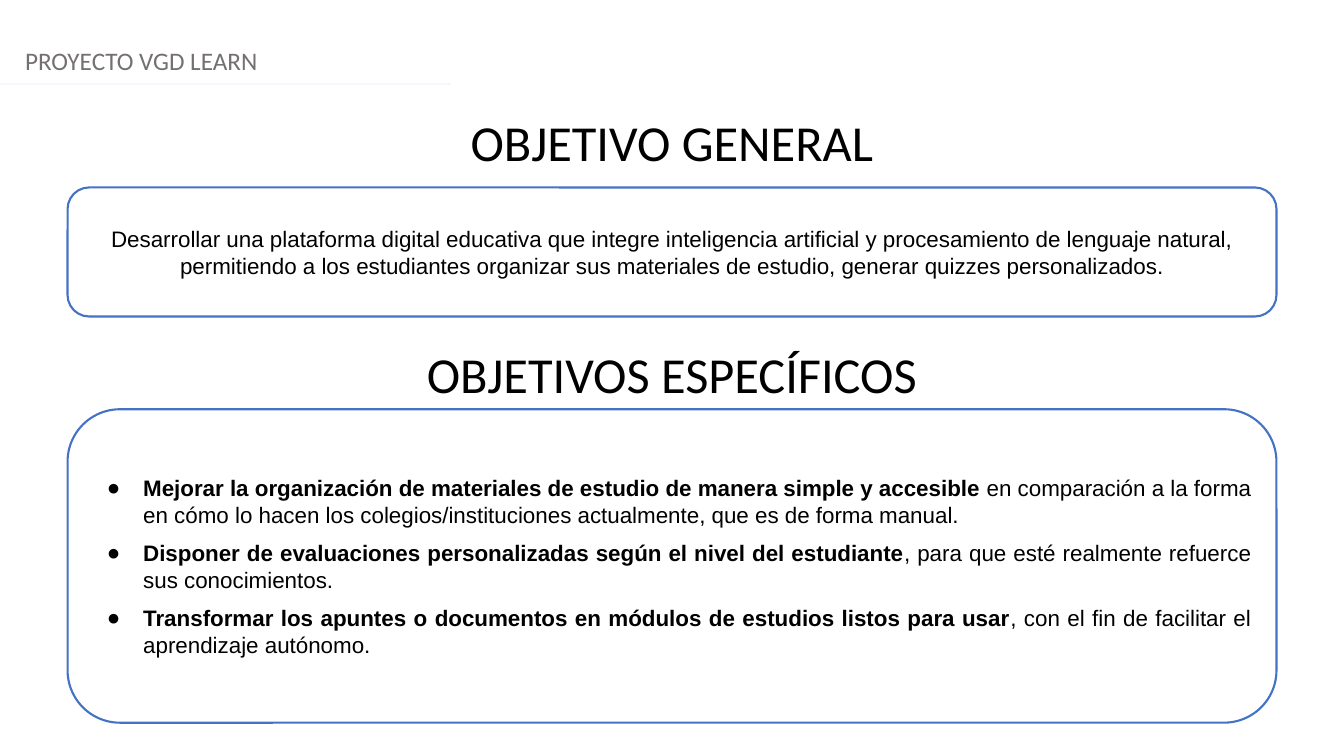
from lxml.etree import SubElement
from pptx import Presentation
from pptx.dml.color import RGBColor
from pptx.enum.shapes import MSO_CONNECTOR, MSO_SHAPE
from pptx.enum.text import MSO_ANCHOR, MSO_AUTO_SIZE, PP_ALIGN
from pptx.oxml.ns import qn
from pptx.util import Inches, Pt

# Content
PROJECT = "PROYECTO VGD LEARN"
GENERAL_TITLE = "OBJETIVO GENERAL"
SPECIFIC_TITLE = "OBJETIVOS ESPECÍFICOS"
GENERAL_GOAL = (
    "Desarrollar una plataforma digital educativa que integre inteligencia artificial "
    "y procesamiento de lenguaje natural, permitiendo a los estudiantes organizar sus "
    "materiales de estudio, generar quizzes personalizados."
)
SPECIFIC_GOALS = [
    ("Mejorar la organización de materiales de estudio de manera simple y accesible",
     " en comparación a la forma en cómo lo hacen los colegios/instituciones actualmente, "
     "que es de forma manual."),
    ("Disponer de evaluaciones personalizadas según el nivel del estudiante",
     ", para que esté realmente refuerce sus conocimientos."),
    ("Transformar los apuntes o documentos en módulos de estudios listos para usar",
     ", con el fin de facilitar el aprendizaje autónomo."),
]

# Colours and measures in inches
BLACK = RGBColor(0x00, 0x00, 0x00)
WHITE = RGBColor(0xFF, 0xFF, 0xFF)
GRAY = RGBColor(0x75, 0x70, 0x70)
BLUE = RGBColor(0x44, 0x72, 0xC4)
PALE = RGBColor(0xF5, 0xF7, 0xFC)
WIDTH, HEIGHT = 13.33, 7.5
PANEL_LEFT, PANEL_WIDTH = 0.67, 11.99
LIST_TOP, LIST_HEIGHT = 4.06, 3.11
CORNER = 0.167
CORNER_INSET = round(0.29 * CORNER * LIST_HEIGHT, 2)


def place(shape, left, top, width, height):
    shape.left, shape.top = Inches(left), Inches(top)
    shape.width, shape.height = Inches(width), Inches(height)


def add_run(paragraph, text, size=16, font="Arial", color=BLACK, bold=False):
    run = paragraph.add_run()
    run.text = text
    run.font.size, run.font.name, run.font.bold = Pt(size), font, bold
    run.font.color.rgb = color


def write(shape, text, align=PP_ALIGN.CENTER, anchor=MSO_ANCHOR.TOP, **font):
    frame = shape.text_frame
    frame.word_wrap = True
    frame.auto_size = MSO_AUTO_SIZE.NONE
    frame.vertical_anchor = anchor
    frame.paragraphs[0].alignment = align
    add_run(frame.paragraphs[0], text, **font)


def add_panel(top, height):
    panel = slide.shapes.add_shape(
        MSO_SHAPE.ROUNDED_RECTANGLE, Inches(PANEL_LEFT), Inches(top),
        Inches(PANEL_WIDTH), Inches(height))
    panel.adjustments[0] = CORNER
    panel.shadow.inherit = False
    panel.fill.solid()
    panel.fill.fore_color.rgb = WHITE
    panel.line.color.rgb = BLUE
    panel.line.width = Pt(1.5)
    return panel


def set_bullet(paragraph):
    properties = paragraph._p.get_or_add_pPr()
    properties.set("marL", str(Inches(0.5)))
    properties.set("indent", str(Inches(-0.36)))
    color = SubElement(properties, qn("a:buClr"))
    SubElement(color, qn("a:srgbClr"), val=str(BLACK))
    SubElement(properties, qn("a:buFont"), typeface="Arial")
    SubElement(properties, qn("a:buChar"), char="●")


presentation = Presentation()
presentation.slide_width, presentation.slide_height = Inches(WIDTH), Inches(HEIGHT)
slide = presentation.slides.add_slide(presentation.slide_layouts[1])

# Project name and rule
project = slide.shapes.add_textbox(
    Inches(0.15), Inches(0.4), Inches(WIDTH), Inches(0.4))
write(project, PROJECT, align=PP_ALIGN.LEFT, size=18, font="Calibri", color=GRAY)
rule = slide.shapes.add_connector(
    MSO_CONNECTOR.STRAIGHT, Inches(0), Inches(0.83), Inches(4.47), Inches(0.83))
rule.line.color.rgb = PALE
rule.line.width = Pt(1.25)
SubElement(rule._element.spPr, qn("a:effectLst"))

# Section titles
general_title = slide.shapes.title
place(general_title, 0, 1.05, WIDTH, 0.71)
specific_title = slide.shapes.add_textbox(
    Inches(0), Inches(3.35), Inches(WIDTH), Inches(0.71))
for title, text in ((general_title, GENERAL_TITLE), (specific_title, SPECIFIC_TITLE)):
    write(title, text, size=36, font="Calibri")

# General goal
write(add_panel(1.86, 1.28), GENERAL_GOAL, anchor=MSO_ANCHOR.MIDDLE)

# Specific goals: the list lies in front of its panel
list_panel = add_panel(LIST_TOP, LIST_HEIGHT)
goals = slide.placeholders[1]
place(goals, PANEL_LEFT + CORNER_INSET, LIST_TOP + CORNER_INSET,
      PANEL_WIDTH - 2 * CORNER_INSET, LIST_HEIGHT - 2 * CORNER_INSET)
list_panel.element.addnext(goals.element)
frame = goals.text_frame
frame.word_wrap = True
frame.auto_size = MSO_AUTO_SIZE.NONE
frame.vertical_anchor = MSO_ANCHOR.MIDDLE
for index, (lead, rest) in enumerate(SPECIFIC_GOALS):
    paragraph = frame.add_paragraph() if index else frame.paragraphs[0]
    paragraph.alignment = PP_ALIGN.JUSTIFY
    paragraph.space_before = Pt(8)
    set_bullet(paragraph)
    add_run(paragraph, lead, bold=True)
    add_run(paragraph, rest)
paragraph.space_after = Pt(8)

presentation.save("out.pptx")
